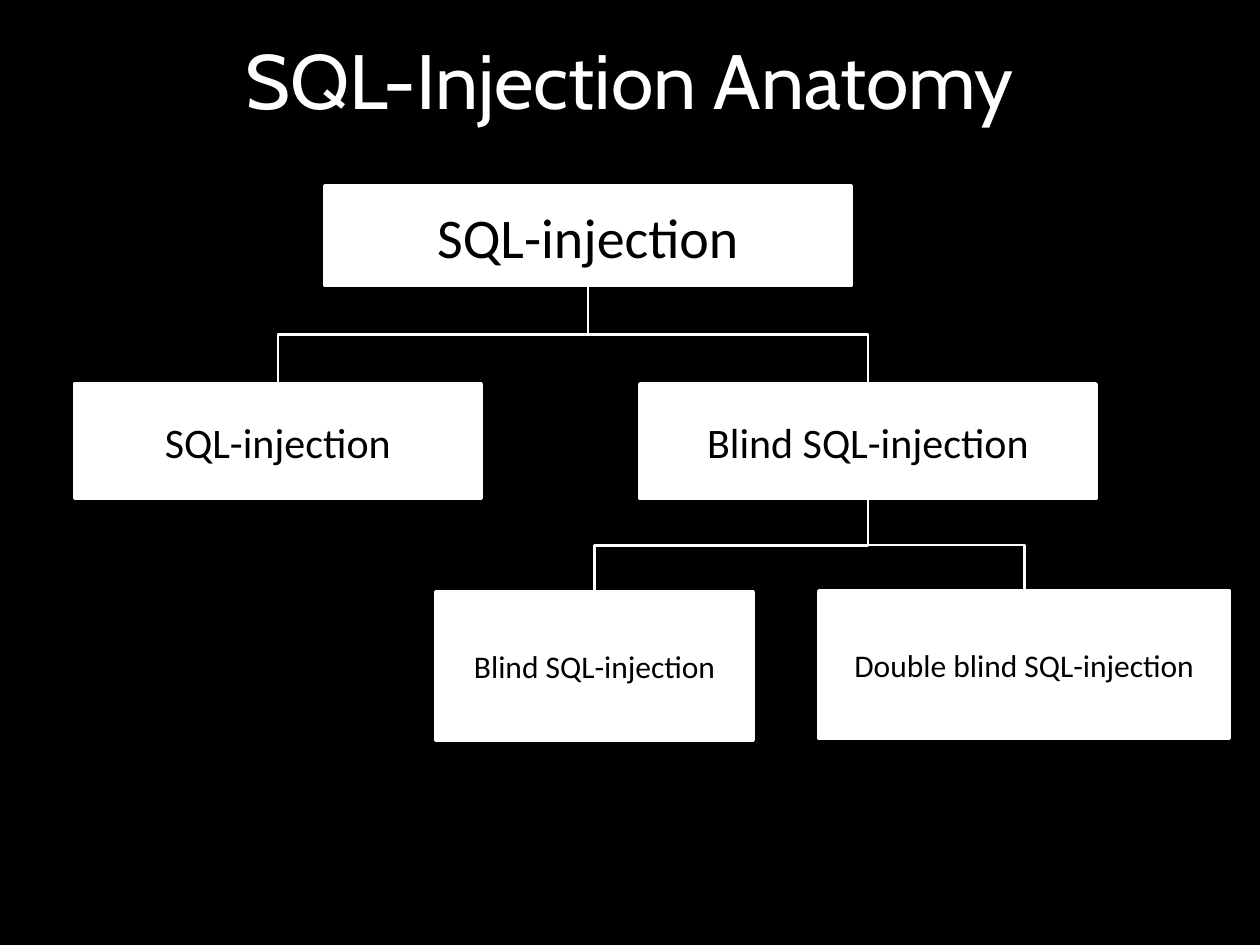
from dataclasses import dataclass

import pptx
import pptx.dml.color
import pptx.enum.shapes
import pptx.enum.text
import pptx.oxml.ns
import pptx.shapes.autoshape
import pptx.slide
import pptx.util
from lxml import etree

Pt = pptx.util.Pt
RGBColor = pptx.dml.color.RGBColor
RECT = pptx.enum.shapes.MSO_SHAPE.RECTANGLE
ELBOW = pptx.enum.shapes.MSO_CONNECTOR.ELBOW
Shape = pptx.shapes.autoshape.Shape
Slide = pptx.slide.Slide

BLACK = RGBColor(0x00, 0x00, 0x00)
WHITE = RGBColor(0xFF, 0xFF, 0xFF)
WIDE, HIGH = 720, 540
BOTTOM, TOP = 2, 0


@dataclass
class Node:
    text: str
    left: float
    top: float
    width: float
    height: float
    size: int


NODES = {
    "root": Node("SQL-injection", 185.8, 106.4, 300.4, 56.8, 32),
    "plain": Node("SQL-injection", 42.5, 219.4, 232.6, 65.6, 24),
    "blind": Node("Blind SQL-injection", 365.7, 219.4, 260.6, 65.6, 24),
    "single": Node("Blind SQL-injection", 249.1, 338.4, 181.4, 84.4, 18),
    "double": Node("Double blind SQL-injection", 468, 337.7, 234.7, 84.4, 18),
}
LINKS = [("root", "plain"), ("root", "blind"),
         ("blind", "single"), ("blind", "double")]


def write(shape: Shape, text: str, font: str, size: int,
          color: RGBColor) -> None:
    frame = shape.text_frame
    frame.word_wrap = True
    frame.vertical_anchor = pptx.enum.text.MSO_ANCHOR.MIDDLE
    para = frame.paragraphs[0]
    para.alignment = pptx.enum.text.PP_ALIGN.CENTER
    run = para.add_run()
    run.text = text
    run.font.name = font
    run.font.size = Pt(size)
    run.font.color.rgb = color


def add_rect(slide: Slide, left: float, top: float, width: float,
             height: float, fill: RGBColor) -> Shape:
    rect = slide.shapes.add_shape(RECT, Pt(left), Pt(top), Pt(width), Pt(height))
    rect.shadow.inherit = False
    rect.fill.solid()
    rect.fill.fore_color.rgb = fill
    rect.line.fill.background()
    return rect


def add_node(slide: Slide, node: Node) -> Shape:
    box = add_rect(slide, node.left, node.top, node.width, node.height, WHITE)
    box.line.color.rgb = WHITE
    box.line.width = Pt(2)
    write(box, node.text, "Calibri", node.size, BLACK)
    return box


def add_link(slide: Slide, start: Shape, end: Shape) -> None:
    """Join two boxes with an elbow that leaves and arrives upright."""
    link = slide.shapes.add_connector(ELBOW, 0, 0, 0, 0)
    link.begin_connect(start, BOTTOM)
    link.end_connect(end, TOP)
    link.line.color.rgb = WHITE
    link.line.width = Pt(1.5)

    # An elbow runs sideways first, so turn its frame by a quarter.
    x1, y1 = start.left + start.width // 2, start.top + start.height
    x2, y2 = end.left + end.width // 2, end.top
    link.width, link.height = y2 - y1, abs(x2 - x1)
    link.left = (x1 + x2 - link.width) // 2
    link.top = (y1 + y2 - link.height) // 2
    right = x2 > x1
    props = link.element.spPr
    frame = props.find(pptx.oxml.ns.qn("a:xfrm"))
    frame.set("rot", str((270 if right else 90) * 60000))
    frame.set("flipH", "1" if right else "0")
    frame.set("flipV", "0")
    etree.SubElement(props, pptx.oxml.ns.qn("a:effectLst"))


def main() -> None:
    deck = pptx.Presentation()
    deck.slide_width, deck.slide_height = Pt(WIDE), Pt(HIGH)
    slide = deck.slides.add_slide(deck.slide_layouts[6])
    add_rect(slide, 0, 0, WIDE, HIGH, BLACK)
    title = slide.shapes.add_textbox(0, 0, Pt(WIDE), Pt(90))
    write(title, "SQL-Injection Anatomy", "Cabin", 44, WHITE)
    boxes = {name: add_node(slide, node) for name, node in NODES.items()}
    for start, end in LINKS:
        add_link(slide, boxes[start], boxes[end])
    deck.save("out.pptx")


if __name__ == "__main__":
    main()
